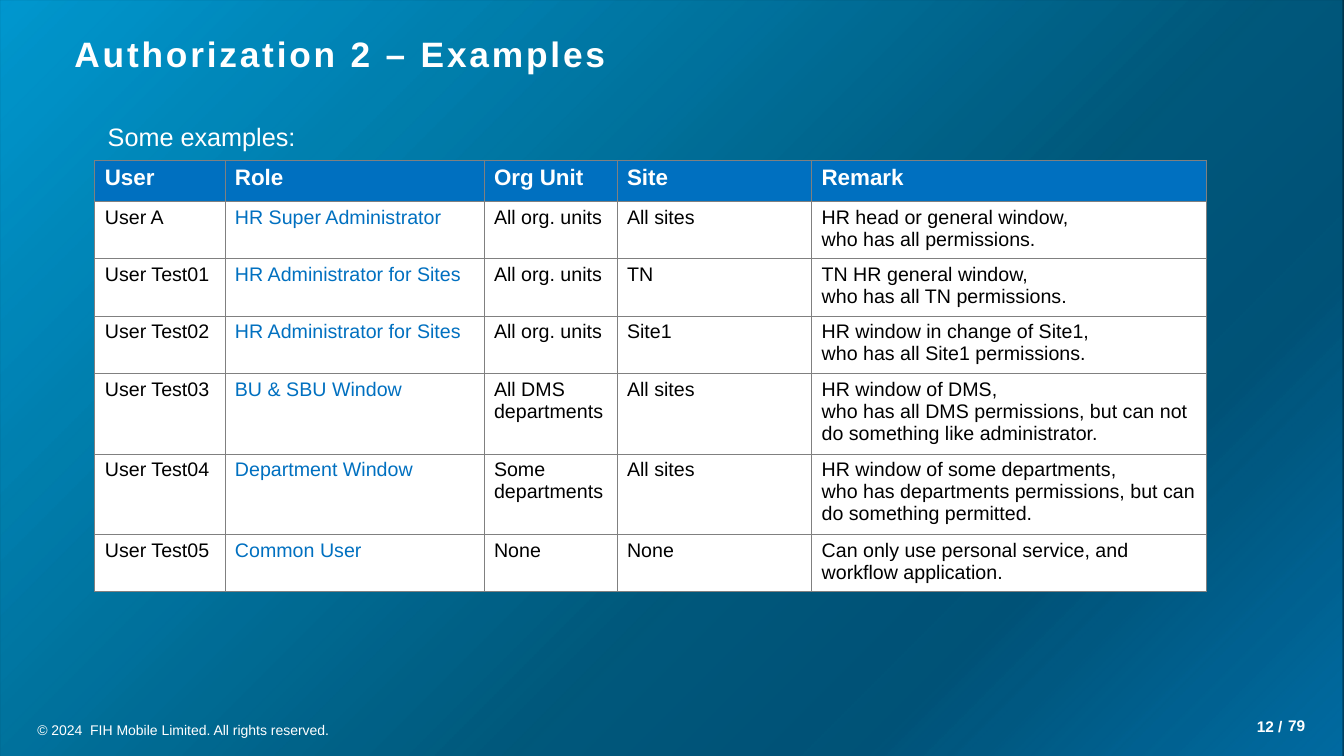
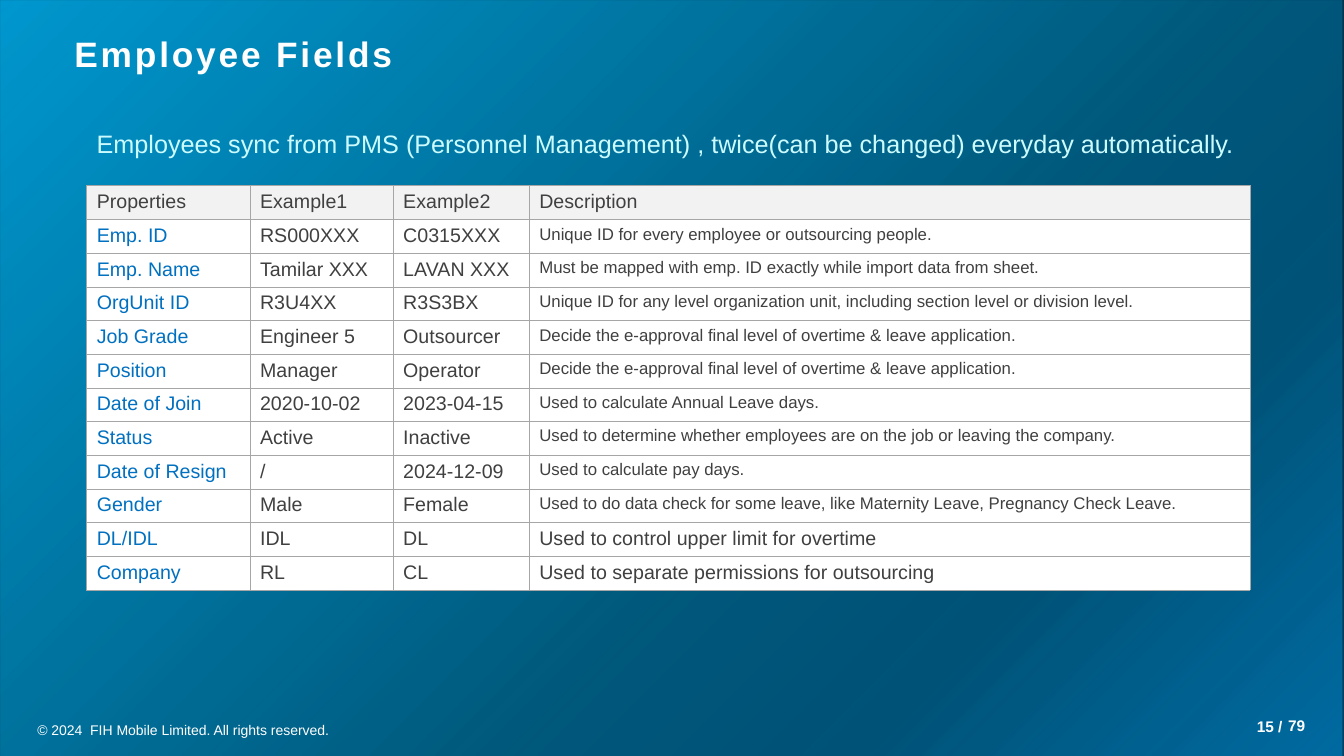
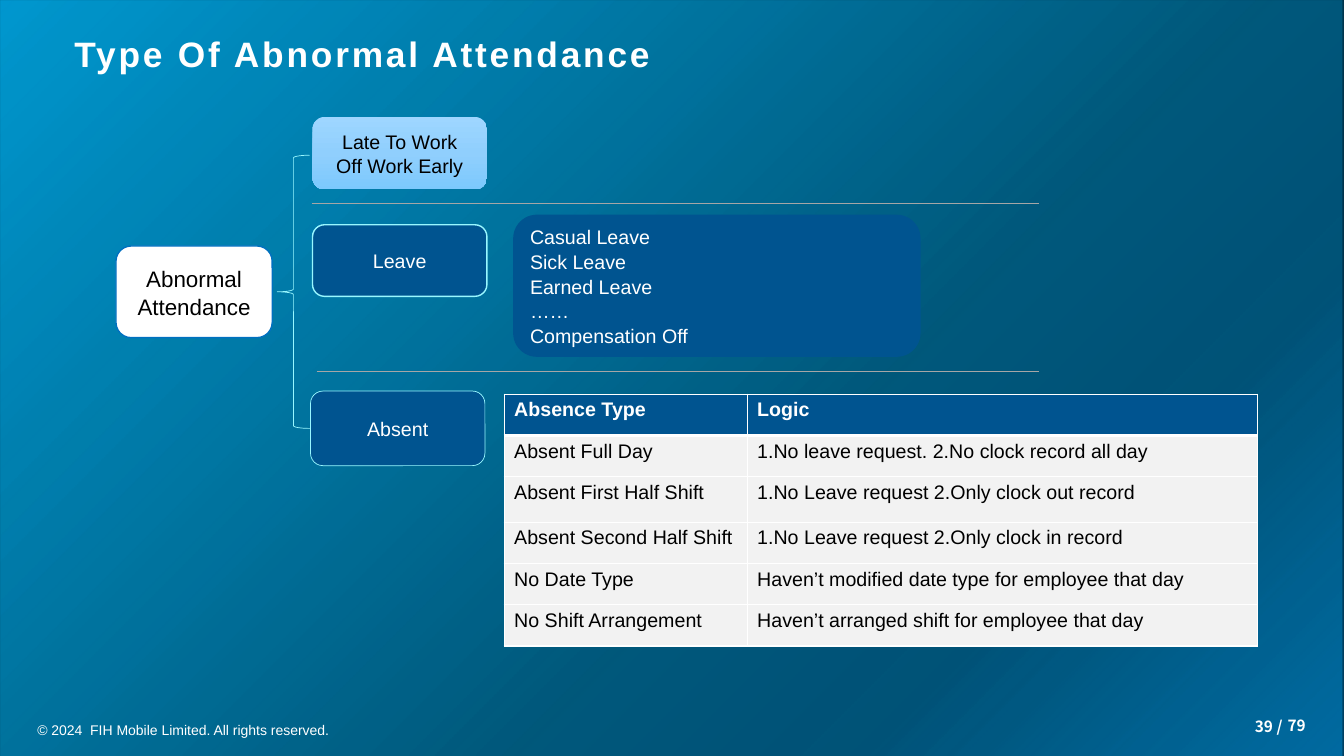
from pptx import Presentation
from pptx.dml.color import RGBColor
from pptx.enum.shapes import MSO_CONNECTOR, MSO_SHAPE
from pptx.enum.text import MSO_ANCHOR, PP_ALIGN
from pptx.oxml import parse_xml
from pptx.oxml.ns import nsdecls, qn
from pptx.util import Inches, Pt

LEFT, CENTER, RIGHT = PP_ALIGN.LEFT, PP_ALIGN.CENTER, PP_ALIGN.RIGHT
TOP, MIDDLE = MSO_ANCHOR.TOP, MSO_ANCHOR.MIDDLE
RECT, ROUND_RECT, LEFT_BRACE = MSO_SHAPE.RECTANGLE, MSO_SHAPE.ROUNDED_RECTANGLE, MSO_SHAPE.LEFT_BRACE
STRAIGHT = MSO_CONNECTOR.STRAIGHT

ARIAL, CJK = "Arial", "Noto Sans CJK SC"
WHITE, BLACK, NIGHT = "FFFFFF", "000000", "00060D"
BLUE, NAVY, AQUA, PALE_AQUA = "0070C0", "005490", "99F7FF", "CCFBFF"
DARK_GREY, MID_GREY, GREY, LIGHT_GREY = "404040", "808080", "A6A6A6", "F2F2F2"
# position %, colour, opacity %
BACKDROP = [(0, "00B0F0", 85), (60, "00B0F0", 48), (77, "00A0E4", 49), (99, "0090D8", 72)]
SKY = [(0, "9ED6FF", 100), (50, "90CFFD", 100), (100, "7CC9FD", 100)]
WIDTH, HEIGHT = 13.33, 7.5
PAGE_COUNT = 79


def rgb(value):
    return RGBColor.from_string(value)


def inches(box):
    return [Inches(v) for v in box]


def set_text(tf, content, size, color=WHITE, bold=False, align=LEFT, font=ARIAL, spacing=None):
    """Write one paragraph per line of content, all in one style."""
    tf.text = content
    for p in tf.paragraphs:
        p.alignment = align
        if spacing:
            p.line_spacing = spacing
        p.font.name, p.font.size, p.font.bold = font, Pt(size), bold
        p.font.color.rgb = rgb(color)


def add_text(slide, box, content, size, anchor=TOP, inset=True, wrap=True, **style):
    tf = slide.shapes.add_textbox(*inches(box)).text_frame
    tf.word_wrap, tf.vertical_anchor = wrap, anchor
    if not inset:
        tf.margin_left = tf.margin_right = tf.margin_top = tf.margin_bottom = 0
    set_text(tf, content, size, **style)
    return tf


def set_gradient(sp, stops, angle):
    stop_xml = "".join(
        f'<a:gs pos="{pos * 1000}"><a:srgbClr val="{color}">'
        f'<a:alpha val="{opacity * 1000}"/></a:srgbClr></a:gs>'
        for pos, color, opacity in stops)
    gradient = parse_xml(f'<a:gradFill {nsdecls("a")} rotWithShape="1"><a:gsLst>{stop_xml}</a:gsLst>'
                         f'<a:lin ang="{angle * 60000}" scaled="0"/></a:gradFill>')
    sp.fill.background()
    properties = sp._element.spPr
    properties.replace(properties.find(qn("a:noFill")), gradient)


def add_shape(slide, kind, box, fill=None, line=None, line_width=1):
    sp = slide.shapes.add_shape(kind, *inches(box))
    sp.shadow.inherit = False
    if isinstance(fill, list):
        set_gradient(sp, fill, 45 if fill is BACKDROP else 90)
    elif fill:
        sp.fill.solid()
        sp.fill.fore_color.rgb = rgb(fill)
    else:
        sp.fill.background()
    if line:
        sp.line.color.rgb = rgb(line)
        sp.line.width = Pt(line_width)
    else:
        sp.line.fill.background()
    return sp


def add_node(slide, box, content, size=14, color=WHITE, align=CENTER, **look):
    tf = add_shape(slide, ROUND_RECT, box, **look).text_frame
    tf.word_wrap, tf.vertical_anchor = True, MIDDLE
    set_text(tf, content, size, color, align=align, spacing=1.05)


def add_divider(slide, left, right, y):
    line = slide.shapes.add_connector(STRAIGHT, *inches((left, y, right, y)))
    line.line.color.rgb = rgb(GREY)
    line.line.width = Pt(0.5)
    line._element.spPr.append(parse_xml(f'<a:effectLst {nsdecls("a")}/>'))


def set_borders(cell, color, width, bottom):
    """Draw the four cell borders; call before the cell gets its fill."""
    properties = cell._tc.get_or_add_tcPr()
    for side, points in (("L", width), ("R", width), ("T", width), ("B", bottom)):
        properties.append(parse_xml(
            f'<a:ln{side} {nsdecls("a")} w="{int(points * 12700)}"><a:solidFill>'
            f'<a:srgbClr val="{color}"/></a:solidFill></a:ln{side}>'))


def add_table(slide, left, top, widths, heights, rows, header, columns, fills, border, header_rule=None):
    """header and each of columns: text style; fills: header and body; border: colour and width."""
    box = inches((left, top, sum(widths), sum(heights)))
    table = slide.shapes.add_table(len(rows), len(widths), *box).table
    for column, width in zip(table.columns, widths):
        column.width = Inches(width)
    for i, (row, height) in enumerate(zip(rows, heights)):
        table.rows[i].height = Inches(height)
        for j, content in enumerate(row):
            cell = table.cell(i, j)
            set_text(cell.text_frame, content, **(columns[j] if i else header))
            color, width = border
            set_borders(cell, color, width, width if i else header_rule or width)
            cell.fill.solid()
            cell.fill.fore_color.rgb = rgb(fills[min(i, 1)])
    return table


def add_frame(prs, title, number, number_font=ARIAL):
    """Add a slide with backdrop, title, copyright line and page number."""
    slide = prs.slides.add_slide(prs.slide_layouts[6])
    add_shape(slide, RECT, (0, 0, WIDTH, HEIGHT), BACKDROP)
    add_text(slide, (0.37, 7.18, 7.97, 0.15), "© 2024  FIH Mobile Limited. All rights reserved.",
             10, inset=False, spacing=0.91)
    tf = add_text(slide, (0.64, 0.3, 12.03, 0.52), title, 25.2, MIDDLE, bold=True, spacing=0.9)
    tf.paragraphs[0].runs[0].font._element.set("spc", "200")
    page_style = dict(anchor=MIDDLE, bold=True, font=number_font)
    add_text(slide, (12, 7.11, 0.72, 0.19), f"{number} /", 11, inset=False, align=RIGHT, **page_style)
    add_text(slide, (12.5, 7.11, 0.72, 0.18), str(PAGE_COUNT), 11, align=CENTER, **page_style)
    return slide


def build_authorization(prs):
    slide = add_frame(prs, "Authorization 2 – Examples", 12)
    add_text(slide, (0.97, 1.15, 2.11, 0.4), "Some examples:", 18, wrap=False)
    rows = [
        ("User", "Role", "Org Unit", "Site", "Remark"),
        ("User A", "HR Super Administrator", "All org. units", "All sites",
         "HR head or general window,\nwho has all permissions."),
        ("User Test01", "HR Administrator for Sites", "All org. units", "TN",
         "TN HR general window,\nwho has all TN permissions."),
        ("User Test02", "HR Administrator for Sites", "All org. units", "Site1",
         "HR window in change of Site1,\nwho has all Site1 permissions."),
        ("User Test03", "BU & SBU Window", "All DMS departments", "All sites",
         "HR window of DMS,\nwho has all DMS permissions, but can not do something like administrator."),
        ("User Test04", "Department Window", "Some departments", "All sites",
         "HR window of some departments,\n"
         "who has departments permissions, but can do something permitted."),
        ("User Test05", "Common User", "None", "None",
         "Can only use personal service, and workflow application."),
    ]
    plain, role = dict(size=14, color=BLACK), dict(size=14, color=BLUE)
    add_table(slide, 0.94, 1.59, [1.29, 2.57, 1.32, 1.93, 3.92], [0.41] * len(rows), rows,
              dict(size=16, bold=True), [plain, role, plain, plain, plain],
              (BLUE, WHITE), (MID_GREY, 0.5))


def build_employee_fields(prs):
    slide = add_frame(prs, "Employee Fields", 15)
    add_text(slide, (0.86, 1.22, 11.52, 0.4),
             "Employees sync from PMS (Personnel Management) , "
             "twice(can be changed) everyday automatically.", 18, wrap=False, color=PALE_AQUA)
    approval = "Decide the e-approval final level of overtime & leave application."
    rows = [
        ("Properties", "Example1", "Example2", "Description"),
        ("Emp. ID", "RS000XXX", "C0315XXX", "Unique ID for every employee or outsourcing people."),
        ("Emp. Name", "Tamilar XXX", "LAVAN XXX",
         "Must be mapped with emp. ID exactly while import data from sheet."),
        ("OrgUnit ID", "R3U4XX", "R3S3BX",
         "Unique ID for any level organization unit, including section level or division level."),
        ("Job Grade", "Engineer 5", "Outsourcer", approval),
        ("Position", "Manager", "Operator", approval),
        ("Date of Join", "2020-10-02", "2023-04-15", "Used to calculate Annual Leave days."),
        ("Status", "Active", "Inactive",
         "Used to determine whether employees are on the job or leaving the company."),
        ("Date of Resign", "/", "2024-12-09", "Used to calculate pay days."),
        ("Gender", "Male", "Female",
         "Used to do data check for some leave, like Maternity Leave, Pregnancy Check Leave."),
        ("DL/IDL", "IDL", "DL", "Used to control upper limit for overtime"),
        ("Company", "RL", "CL", "Used to separate permissions for outsourcing"),
    ]
    plain = dict(size=14, color=DARK_GREY)
    columns = [dict(size=14, color=BLUE), plain, plain, dict(size=12, color=DARK_GREY)]
    table = add_table(slide, 0.86, 1.84, [1.62, 1.42, 1.35, 7.15], [0.34] + [0.33] * (len(rows) - 1),
                      rows, plain, columns, (LIGHT_GREY, WHITE), (GREY, 0.5))
    for i in (-2, -1):
        table.cell(len(rows) + i, 3).text_frame.paragraphs[0].font.size = Pt(14)


def build_attendance(prs):
    slide = add_frame(prs, "Type Of Abnormal Attendance", 39, CJK)
    add_node(slide, (1.15, 2.44, 1.55, 0.91), "Abnormal\nAttendance", 16, BLACK, fill=WHITE, line=BLUE)
    add_node(slide, (3.1, 1.16, 1.73, 0.72), "Late To Work\nOff Work Early", color=BLACK, fill=SKY)
    add_node(slide, (3.1, 2.23, 1.73, 0.71), "Leave", fill=NAVY, line=AQUA)
    add_node(slide, (3.08, 3.88, 1.73, 0.74), "Absent", fill=NAVY, line=AQUA, line_width=0.5)
    add_node(slide, (5.09, 2.13, 4.04, 1.41),
             "Casual Leave\nSick Leave\nEarned Leave\n……\nCompensation Off", align=LEFT, fill=NAVY)
    add_divider(slide, 3.14, 10.31, 3.68)
    add_divider(slide, 3.09, 10.31, 2.02)
    add_shape(slide, LEFT_BRACE, (2.75, 1.54, 0.32, 2.71), line=AQUA, line_width=0.5)
    rows = [
        ("Absence Type", "Logic"),
        ("Absent Full Day", "1.No leave request. 2.No clock record all day"),
        ("Absent First Half Shift", "1.No Leave request 2.Only clock out record"),
        ("Absent Second Half Shift", "1.No Leave request 2.Only clock in record"),
        ("No Date Type", "Haven’t modified date type for employee that day"),
        ("No Shift Arrangement", "Haven’t arranged shift for employee that day"),
    ]
    add_table(slide, 5, 3.91, [2.41, 5.06], [0.41, 0.41, 0.45, 0.41, 0.41, 0.41], rows,
              dict(size=14, bold=True), [dict(size=14, color=BLACK)] * 2,
              (NAVY, LIGHT_GREY), (WHITE, 1), header_rule=3)


def main():
    prs = Presentation()
    prs.slide_width, prs.slide_height = Inches(WIDTH), Inches(HEIGHT)
    backdrop = prs.slide_master.background.fill
    backdrop.solid()
    backdrop.fore_color.rgb = rgb(NIGHT)
    build_authorization(prs)
    build_employee_fields(prs)
    build_attendance(prs)
    prs.save("out.pptx")


if __name__ == "__main__":
    main()
